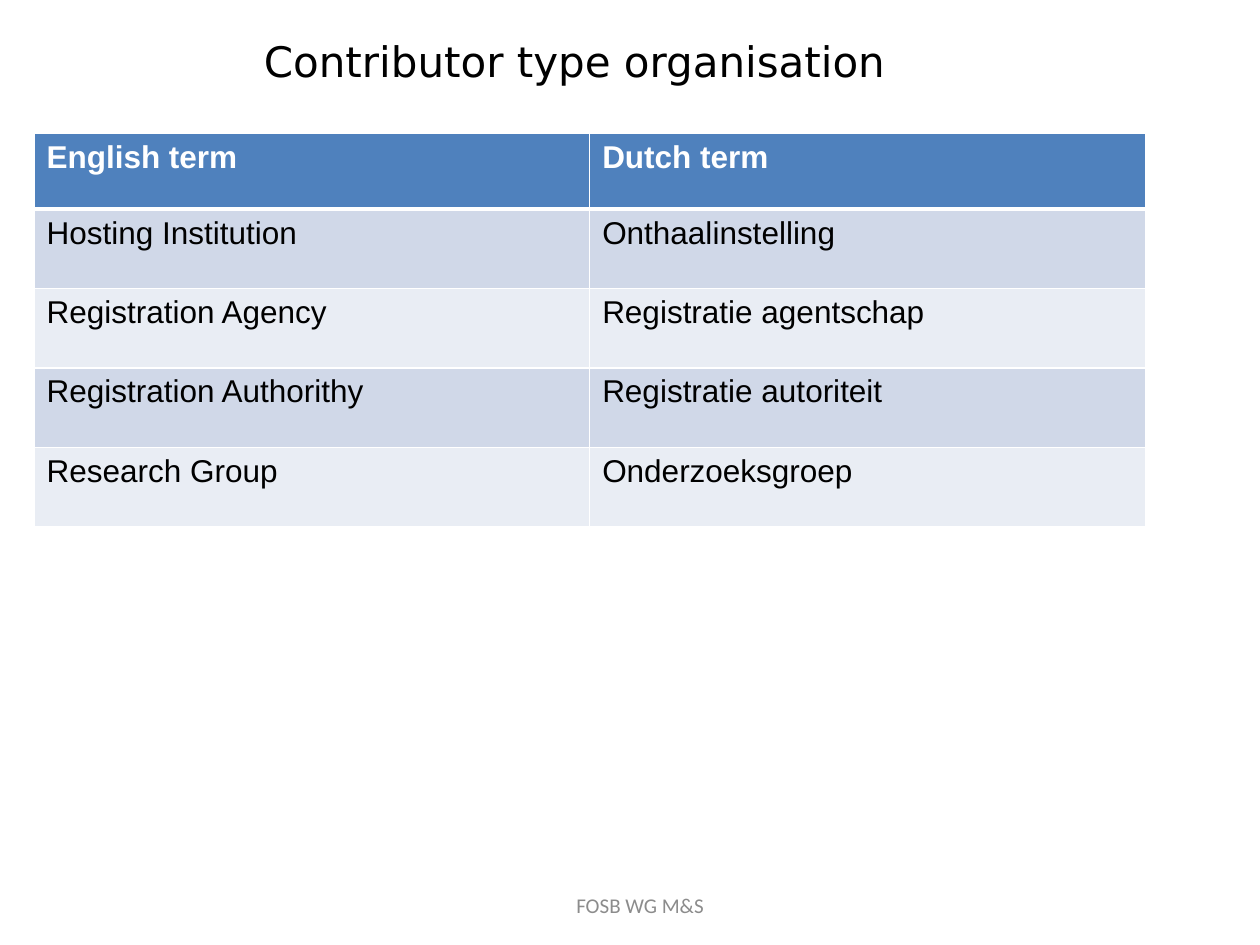
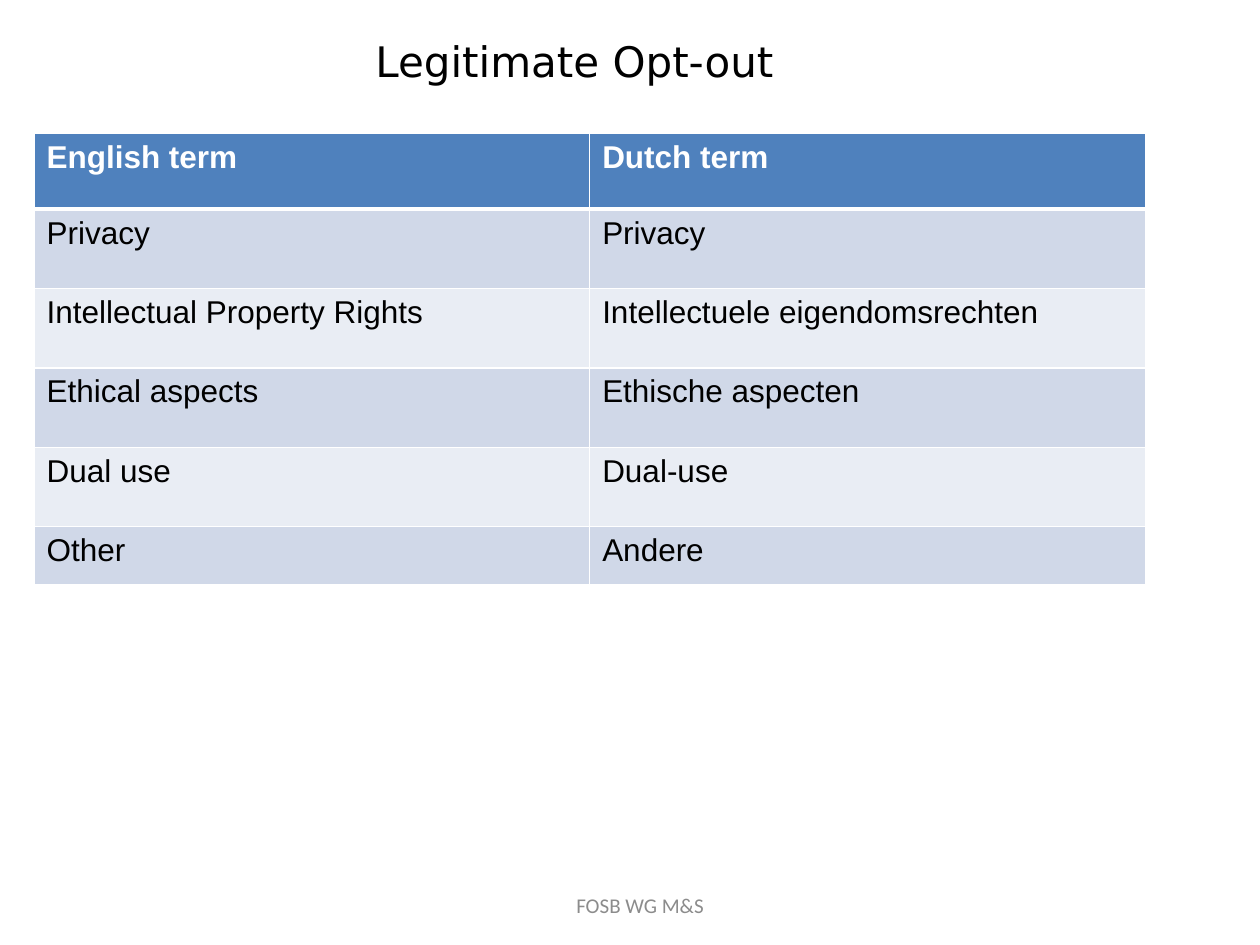
from dataclasses import dataclass

from lxml import etree
from pptx import Presentation
from pptx.dml.color import RGBColor
from pptx.enum.text import MSO_ANCHOR, MSO_AUTO_SIZE, PP_ALIGN
from pptx.oxml.ns import qn
from pptx.util import Inches, Pt

CENTER = PP_ALIGN.CENTER
MIDDLE = MSO_ANCHOR.MIDDLE
NO_AUTOFIT = MSO_AUTO_SIZE.NONE
TITLE_ONLY = 5


@dataclass(frozen=True)
class Theme:
    ink: str = "000000"
    white: str = "FFFFFF"
    header: str = "4F81BD"
    bands: tuple = ("D0D8E8", "E9EDF4")
    muted: str = "8C8C8C"
    title_font: str = "DejaVu Sans"
    table_font: str = "Arial"
    footer_font: str = "Calibri"
    title_size: int = 24
    table_size: int = 18
    footer_size: int = 12
    rule: int = 1
    header_rule: int = 3


THEME = Theme()
FOOTER = "FOSB WG M&S"
HEADINGS = ("English term", "Dutch term")
COLUMN_WIDTH = 4.41
HEADER_HEIGHT, ROW_HEIGHT, SHORT_ROW_HEIGHT = 0.6, 0.63, 0.46

# Title, then rows of (English term, Dutch term)
TERM_LISTS = [
    ("Contributor type organisation", [
        ("Hosting Institution", "Onthaalinstelling"),
        ("Registration Agency", "Registratie agentschap"),
        ("Registration Authorithy", "Registratie autoriteit"),
        ("Research Group", "Onderzoeksgroep"),
    ]),
    ("Legitimate Opt-out", [
        ("Privacy", "Privacy"),
        ("Intellectual Property Rights", "Intellectuele eigendomsrechten"),
        ("Ethical aspects", "Ethische aspecten"),
        ("Dual use", "Dual-use"),
        ("Other", "Andere"),
    ]),
]


def write_text(frame, text, font_name, size, color, bold=False, align=None):
    frame.text = text
    paragraph = frame.paragraphs[0]
    paragraph.alignment = align
    paragraph.font.name = font_name
    paragraph.font.size = Pt(size)
    paragraph.font.bold = bold
    paragraph.font.color.rgb = RGBColor.from_string(color)


def add_borders(cell, top, bottom):
    """Rule all four sides in white; call before the cell is filled."""
    properties = cell._tc.get_or_add_tcPr()
    sides = {"lnL": THEME.rule, "lnR": THEME.rule, "lnT": top, "lnB": bottom}
    for side, width in sides.items():
        line = etree.SubElement(properties, qn(f"a:{side}"), w=str(Pt(width)))
        fill = etree.SubElement(line, qn("a:solidFill"))
        etree.SubElement(fill, qn("a:srgbClr"), val=THEME.white)


deck = Presentation()
deck.slide_width, deck.slide_height = Inches(10), Inches(7.5)

for title_text, terms in TERM_LISTS:
    page = deck.slides.add_slide(deck.slide_layouts[TITLE_ONLY])

    title = page.shapes.title
    title.left, title.top = Inches(0.38), Inches(0.38)
    title.width, title.height = Inches(8.36), Inches(0.21)
    title.text_frame.auto_size = NO_AUTOFIT
    title.text_frame.vertical_anchor = MIDDLE
    write_text(title.text_frame, title_text, THEME.title_font,
               THEME.title_size, THEME.ink, align=CENTER)

    # A fifth term gets a shorter row
    heights = [HEADER_HEIGHT] + [ROW_HEIGHT if number <= 4 else SHORT_ROW_HEIGHT
                                 for number in range(1, len(terms) + 1)]
    table = page.shapes.add_table(
        len(heights), len(HEADINGS), Inches(0.27), Inches(1.06),
        Inches(COLUMN_WIDTH * len(HEADINGS)), Inches(sum(heights))).table
    for column in table.columns:
        column.width = Inches(COLUMN_WIDTH)
    for row_index, row_texts in enumerate([HEADINGS, *terms]):
        table.rows[row_index].height = Inches(heights[row_index])
        is_header = row_index == 0
        fill_color = THEME.header if is_header else THEME.bands[(row_index - 1) % 2]
        for column_index, text in enumerate(row_texts):
            cell = table.cell(row_index, column_index)
            add_borders(cell,
                        top=THEME.header_rule if row_index == 1 else THEME.rule,
                        bottom=THEME.header_rule if is_header else THEME.rule)
            cell.fill.solid()
            cell.fill.fore_color.rgb = RGBColor.from_string(fill_color)
            write_text(cell.text_frame, text, THEME.table_font, THEME.table_size,
                       THEME.white if is_header else THEME.ink, bold=is_header)

    footer = page.shapes.add_textbox(Inches(2.64), Inches(6.98),
                                     Inches(4.88), Inches(0.4))
    footer.text_frame.word_wrap = True
    footer.text_frame.vertical_anchor = MIDDLE
    write_text(footer.text_frame, FOOTER, THEME.footer_font,
               THEME.footer_size, THEME.muted, align=CENTER)

deck.save("out.pptx")
